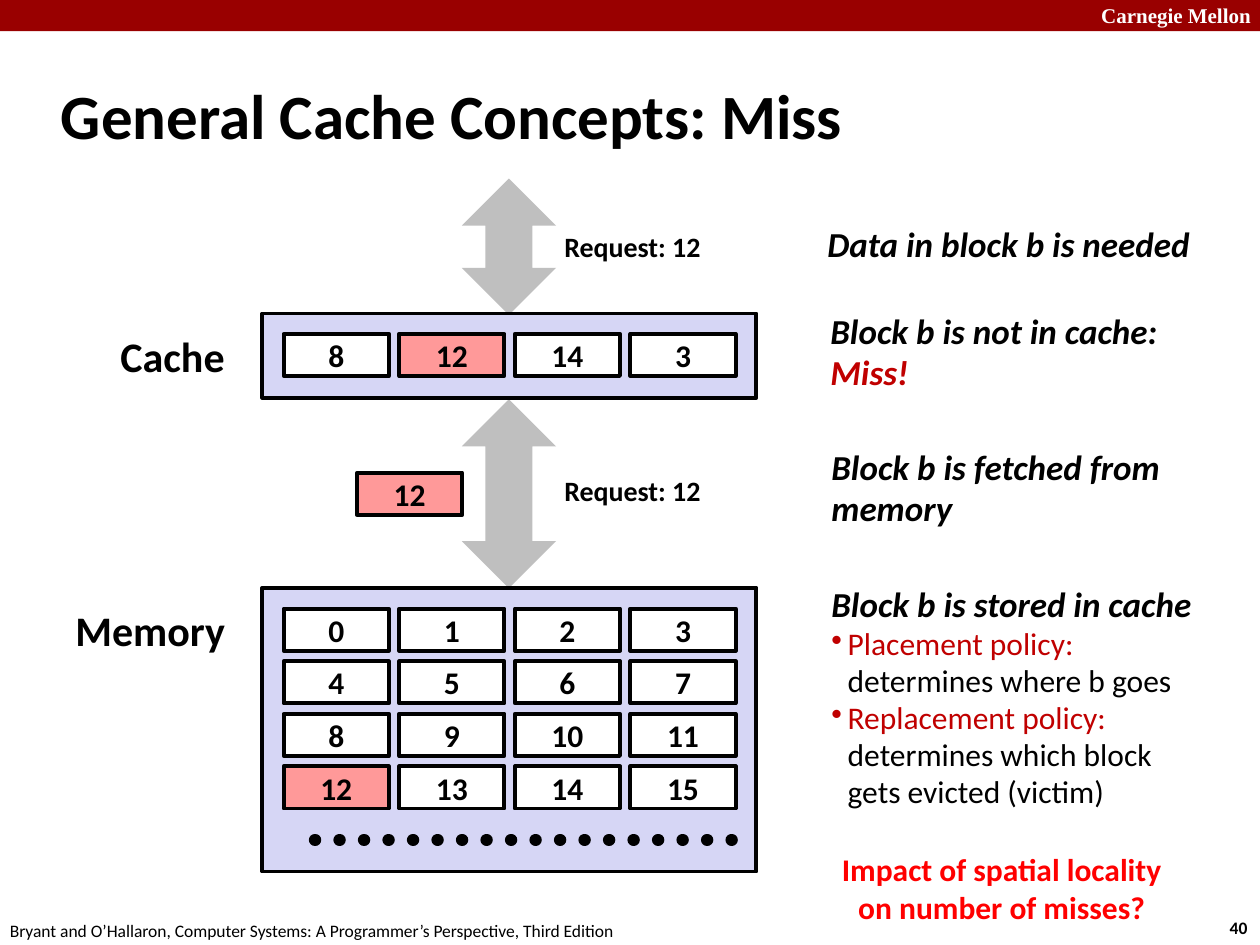
from dataclasses import dataclass
from lxml import etree
from pptx import Presentation
from pptx.dml.color import RGBColor
from pptx.enum.dml import MSO_LINE
from pptx.enum.shapes import MSO_CONNECTOR, MSO_SHAPE
from pptx.enum.text import MSO_ANCHOR, PP_ALIGN
from pptx.oxml.ns import qn
from pptx.util import Cm, Pt

RECT = MSO_SHAPE.RECTANGLE
ARROW = MSO_SHAPE.UP_DOWN_ARROW
LINE = MSO_CONNECTOR.STRAIGHT
DOTS = MSO_LINE.ROUND_DOT
TOP, MID = MSO_ANCHOR.TOP, MSO_ANCHOR.MIDDLE
LEFT, CENTER = PP_ALIGN.LEFT, PP_ALIGN.CENTER


@dataclass(frozen=True)
class Theme:
    font: str = "Calibri"
    serif: str = "Times New Roman"
    black: str = "000000"
    white: str = "FFFFFF"
    bar: str = "990000"
    gray: str = "BFBFBF"
    panel: str = "D6D6F5"
    pink: str = "FF9999"
    red: str = "C00000"
    alert: str = "FF0000"
    title: int = 36
    label: int = 24
    note: int = 20
    body: int = 18
    small: int = 16
    brand: int = 12
    foot: int = 10
    edge: float = 2.25
    dots: float = 7


class Deck:
    def __init__(self, theme):
        self.theme = theme
        self.file = Presentation()
        self.file.slide_width, self.file.slide_height = Cm(25.4), Cm(19.05)
        self.slide = self.file.slides.add_slide(self.file.slide_layouts[6])

    def style(self, para, size, color=None, bold=True, italic=False, font=None):
        face = para.font
        face.name, face.size = font or self.theme.font, Pt(size)
        face.bold, face.italic = bold, italic
        face.color.rgb = RGBColor.from_string(color or self.theme.black)

    def shape(self, kind, box, fill, edge=False):
        item = self.slide.shapes.add_shape(kind, *map(Cm, box))
        item.shadow.inherit = False
        item.fill.solid()
        item.fill.fore_color.rgb = RGBColor.from_string(fill)
        if edge:
            item.line.color.rgb = RGBColor.from_string(self.theme.black)
            item.line.width = Pt(self.theme.edge)
        else:
            item.line.fill.background()
        return item

    def block(self, left, top, num, hot=False):
        fill = self.theme.pink if hot else self.theme.white
        frame = self.shape(RECT, (left, top, 2.12, 0.85), fill, True).text_frame
        frame.vertical_anchor = MID
        para = frame.paragraphs[0]
        para.text, para.alignment = str(num), CENTER
        self.style(para, self.theme.body)

    def row(self, top, nums, hot=None):
        for col, num in enumerate(nums):
            self.block(5.72 + 2.33 * col, top, num, num == hot)

    def frame(self, box, anchor=TOP, wrap=False):
        frame = self.slide.shapes.add_textbox(*map(Cm, box)).text_frame
        frame.word_wrap, frame.vertical_anchor = wrap, anchor
        return frame

    def text(self, box, words, size, anchor=TOP, align=LEFT, wrap=False, **look):
        para = self.frame(box, anchor, wrap).paragraphs[0]
        para.text, para.alignment = words, align
        self.style(para, size, **look)

    def note(self, box, lines, points=()):
        frame = self.frame(box, MID)
        para = frame.paragraphs[0]
        for index, (words, color) in enumerate(lines):
            para = frame.add_paragraph() if index else para
            para.text, para.line_spacing = words, 0.98
            self.style(para, self.theme.note, color, italic=True)
        for head, rest in points:
            self.point(frame.add_paragraph(), head, rest)

    def point(self, para, head, rest):
        para.line_spacing = 0.98
        props = para._p.get_or_add_pPr()
        props.set("marL", str(Cm(0.33)))
        props.set("indent", str(Cm(-0.33)))
        etree.SubElement(props, qn("a:buChar")).set("char", "•")
        self.style(para, self.theme.body, bold=False)
        lead = para.add_run()
        lead.text = head
        lead.font.color.rgb = RGBColor.from_string(self.theme.red)
        for words in rest:
            para.add_line_break()
            para.add_run().text = words

    def dots(self, start, end, top):
        item = self.slide.shapes.add_connector(
            LINE, Cm(start), Cm(top), Cm(end), Cm(top))
        item.line.color.rgb = RGBColor.from_string(self.theme.black)
        item.line.width, item.line.dash_style = Pt(self.theme.dots), DOTS
        item.line._ln.set("cap", "rnd")
        etree.SubElement(item._element.spPr, qn("a:effectLst"))

    def save(self):
        self.file.save("out.pptx")


def main():
    look = Theme()
    deck = Deck(look)

    deck.shape(RECT, (0, 0, 25.4, 0.63), look.bar)
    deck.text((21.95, -0.07, 3.63, 0.76), "Carnegie Mellon", look.brand,
              wrap=True, color=look.white, font=look.serif)
    deck.text((24.54, 18.36, 0.94, 0.69), "40", look.foot)
    deck.text((-0.05, 18.42, 12.9, 0.69),
              "Bryant and O’Hallaron, Computer Systems: "
              "A Programmer’s Perspective, Third Edition",
              look.foot, bold=False)
    deck.text((0.98, 1.25, 21.08, 2.1), "General Cache Concepts: Miss",
              look.title, MID, wrap=True)

    for top, high in ((3.6, 2.75), (8.05, 3.81)):
        deck.shape(ARROW, (9.31, top, 1.9, high), look.gray)
    for top, high in ((11.85, 5.72), (6.32, 1.7)):
        deck.shape(RECT, (5.29, top, 9.96, high), look.panel, True)

    deck.row(6.73, (8, 12, 14, 3), 12)
    for line in range(4):
        deck.row(12.27 + 1.06 * line, range(4 * line, 4 * line + 4), 12)
    deck.block(7.2, 9.53, 12, True)
    deck.dots(6.35, 14.82, 16.93)

    deck.text((2.18, 6.53, 2.64, 1.27), "Cache", look.label)
    deck.text((1.27, 12.07, 3.56, 1.27), "Memory", look.label)
    for top in (4.5, 9.42):
        deck.text((11.1, top, 3.3, 0.94), "Request: 12", look.small, align=CENTER)

    deck.note((16.43, 4.4, 7.85, 1.09), [("Data in block b is needed", look.black)])
    deck.note((16.49, 6.15, 7.14, 1.93),
              [("Block b is not in cache:", look.black), ("Miss!", look.red)])
    deck.note((16.51, 8.89, 7.19, 1.93),
              [("Block b is fetched from", look.black), ("memory", look.black)])
    deck.note((16.51, 11.63, 7.8, 4.88),
              [("Block b is stored in cache", look.black)],
              [("Placement policy:", ["determines where b goes"]),
               ("Replacement policy:",
                ["determines which block", "gets evicted (victim)"])])
    deck.text((16.69, 17.02, 7.01, 1.8),
              "Impact of spatial locality\von number of misses?",
              look.body, align=CENTER, color=look.alert)
    deck.save()


if __name__ == "__main__":
    main()
